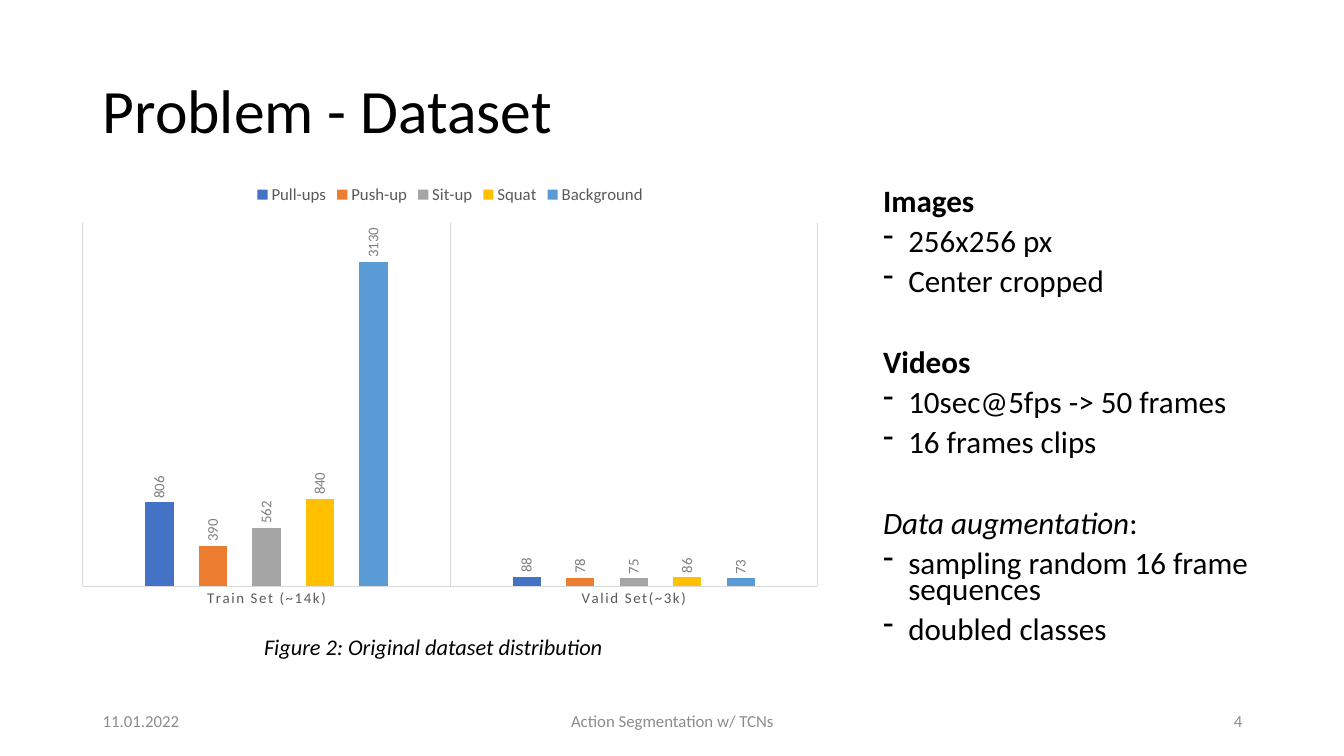
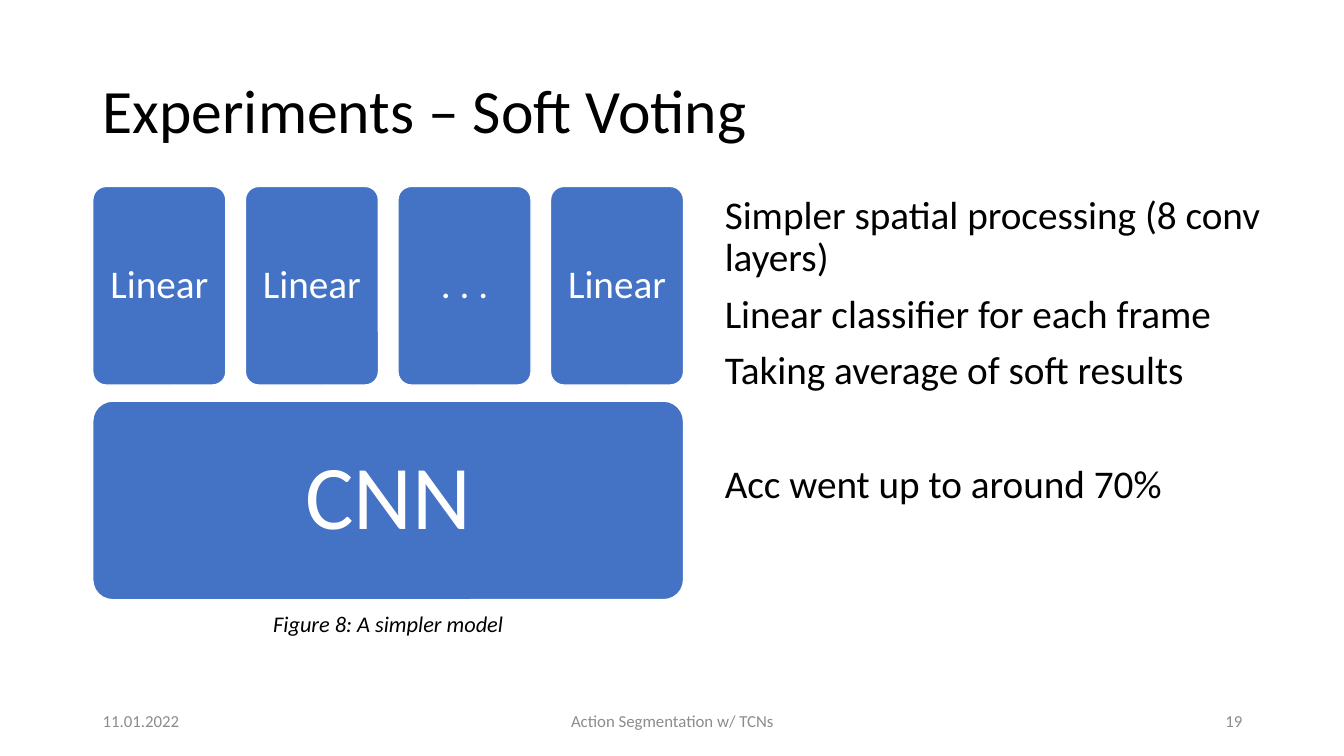
from lxml.etree import SubElement
from pptx import Presentation
from pptx.chart.data import CategoryChartData
from pptx.dml.color import RGBColor
from pptx.enum.chart import XL_CHART_TYPE, XL_LABEL_POSITION, XL_LEGEND_POSITION, XL_TICK_MARK
from pptx.enum.shapes import MSO_SHAPE
from pptx.enum.text import MSO_ANCHOR, PP_ALIGN
from pptx.oxml import parse_xml
from pptx.oxml.ns import nsdecls, qn
from pptx.util import Inches, Pt

FACE = "Calibri"
BLACK, WHITE, BLUE = "000000", "FFFFFF", "4472C4"
MUTED, LABEL, AXIS, RULE = "8C8C8C", "808080", "595959", "D9D9D9"
LEFT, MID, RIGHT = PP_ALIGN.LEFT, PP_ALIGN.CENTER, PP_ALIGN.RIGHT

GROUPS = ["Train Set (~14k)", "Valid Set(~3k)"]
SERIES = [
    ("Pull-ups", BLUE, (806, 88)),
    ("Push-up", "ED7D31", (390, 78)),
    ("Sit-up", "A5A5A5", (562, 75)),
    ("Squat", "FFC000", (840, 86)),
    ("Background", "5B9BD5", (3130, 73)),
]
FACTS = [
    ("Images", dict(bold=True)),
    ("256x256 px", dict(bullet=True)),
    ("Center cropped", dict(bullet=True)),
    ("Videos", dict(bold=True, before=39)),
    ("10sec@5fps -> 50 frames", dict(bullet=True)),
    ("16 frames clips", dict(bullet=True)),
    ("Data augmentation", dict(italic=True, tail=":", before=39)),
    ("sampling random 16 frame sequences", dict(bullet=True)),
    ("doubled classes", dict(bullet=True)),
]
POINTS = [
    ("Simpler spatial processing (8 conv layers)", {}),
    ("Linear classifier for each frame", {}),
    ("Taking average of soft results", {}),
    ("Acc went up to around 70%", dict(before=51)),
]


def tint(code):
    return RGBColor.from_string(code)


def style(font, size, color, bold=False, italic=False):
    font.name, font.size = FACE, Pt(size)
    font.bold, font.italic = bold, italic
    font.color.rgb = tint(color)


def write(frame, text, size=16, color=BLACK, bold=False, italic=False,
          align=LEFT, line=1.0, before=0, bullet=False, tail=""):
    para = frame.paragraphs[-1]
    if para.runs:
        para = frame.add_paragraph()
    para.alignment, para.line_spacing = align, line
    para.space_before = Pt(before)
    run = para.add_run()
    run.text = text
    style(run.font, size, color, bold, italic)
    if tail:
        rest = para.add_run()
        rest.text = tail
        style(rest.font, size, color)
    if bullet:
        props = para._p.get_or_add_pPr()
        props.set("marL", str(Inches(0.25)))
        props.set("indent", str(Inches(-0.25)))
        SubElement(props, qn("a:buChar")).set("char", "-")


def place(box):
    return [Inches(side) for side in box]


def panel(slide, box, anchor=MSO_ANCHOR.TOP):
    frame = slide.shapes.add_textbox(*place(box)).text_frame
    frame.word_wrap = True
    frame.vertical_anchor = anchor
    return frame


def label(slide, box, text, anchor=MSO_ANCHOR.TOP, **form):
    write(panel(slide, box, anchor), text, **form)


def listing(slide, box, rows, **form):
    frame = panel(slide, box)
    for text, extra in rows:
        write(frame, text, **{"before": 10, **form, **extra})


def base(deck, title, page):
    slide = deck.slides.add_slide(deck.slide_layouts[5])
    head = slide.shapes.title
    head.left, head.top, head.width, head.height = place((0.92, 0.4, 11.5, 1.45))
    head.text_frame.vertical_anchor = MSO_ANCHOR.MIDDLE
    write(head.text_frame, title, size=44, line=0.9)
    footer = [
        (0.92, 3, "11.01.2022", LEFT),
        (4.42, 4.5, "Action Segmentation w/ TCNs", MID),
        (9.42, 3, str(page), RIGHT),
    ]
    for left, width, text, align in footer:
        label(slide, (left, 6.95, width, 0.4), text, MSO_ANCHOR.MIDDLE,
              size=12, color=MUTED, align=align)
    return slide


def fix_plot(chart, left, top, width, height):
    area = chart._chartSpace.chart.plotArea
    for old in area.findall(qn("c:layout")):
        area.remove(old)
    sides = zip("xywh", (left, top, width, height))
    parts = "".join(f'<c:{key} val="{val}"/>' for key, val in sides)
    area.insert(0, parse_xml(
        f'<c:layout {nsdecls("c")}><c:manualLayout><c:layoutTarget val="inner"/>'
        f'<c:xMode val="edge"/><c:yMode val="edge"/>{parts}</c:manualLayout></c:layout>'))


def bars(slide, box):
    data = CategoryChartData()
    data.categories = GROUPS
    for name, _, vals in SERIES:
        data.add_series(name, vals)
    chart = slide.shapes.add_chart(XL_CHART_TYPE.COLUMN_CLUSTERED, *place(box), data).chart
    style(chart.font, 10, BLACK)
    chart.has_title = False
    chart.has_legend = True
    chart.legend.position = XL_LEGEND_POSITION.TOP
    chart.legend.include_in_layout = False
    style(chart.legend.font, 12, AXIS)
    fix_plot(chart, 0.02, 0.11, 0.96, 0.8)

    plot = chart.plots[0]
    plot.gap_width, plot.overlap = 444, -90
    plot.vary_by_categories = False
    for (_, color, _), item in zip(SERIES, plot.series):
        item.format.fill.solid()
        item.format.fill.fore_color.rgb = tint(color)
        marks = item.data_labels
        marks.show_value = True
        marks.position = XL_LABEL_POSITION.OUTSIDE_END
        style(marks.font, 10.6, LABEL)
        body = marks._element.find(qn("c:txPr")).find(qn("a:bodyPr"))
        body.set("rot", "-5400000")
        body.set("vert", "horz")

    cats, vals = chart.category_axis, chart.value_axis
    vals.visible = vals.has_major_gridlines = False
    vals.minimum_scale, vals.maximum_scale = 0, 3500
    cats.has_major_gridlines = True
    cats.major_tick_mark = XL_TICK_MARK.NONE
    for line in (cats.format.line, cats.major_gridlines.format.line):
        line.color.rgb = tint(RULE)
        line.width = Pt(0.75)
    font = cats.tick_labels.font
    style(font, 10.6, AXIS)
    font._element.set("spc", "120")


def block(slide, box, text, size):
    shape = slide.shapes.add_shape(MSO_SHAPE.ROUNDED_RECTANGLE, *place(box))
    shape.shadow.inherit = False
    shape.adjustments[0] = 0.1
    shape.fill.solid()
    shape.fill.fore_color.rgb = tint(BLUE)
    shape.line.color.rgb = tint(WHITE)
    shape.line.width = Pt(1)
    frame = shape.text_frame
    frame.word_wrap = True
    frame.vertical_anchor = MSO_ANCHOR.MIDDLE
    write(frame, text, size=size, color=WHITE, align=MID, line=0.9)


def model(slide, box):
    left, top, width, height = box
    names = ["Linear", "Linear", ". . .", "Linear"]
    wide, tall = 1.32, 1.97
    step = (width - wide) / (len(names) - 1)
    for col, name in enumerate(names):
        block(slide, (left + col * step, top, wide, tall), name, 28)
    block(slide, (left, top + height - tall, width, tall), "CNN", 65)


def dataset(deck):
    slide = base(deck, "Problem - Dataset", 4)
    bars(slide, (0.67, 1.72, 7.59, 4.5))
    label(slide, (2.52, 6.23, 3.91, 0.37), "Figure 2: Original dataset distribution",
          italic=True)
    listing(slide, (8.66, 1.85, 3.91, 4.76), FACTS, size=22.2, line=0.7)


def voting(deck):
    slide = base(deck, "Experiments – Soft Voting", 19)
    model(slide, (0.92, 1.85, 5.86, 4.1))
    label(slide, (2.46, 6, 2.78, 0.37), "Figure 8: A simpler model",
          italic=True, align=MID)
    listing(slide, (7.09, 1.89, 6.06, 4.11), POINTS, size=28, line=0.9)


def main():
    deck = Presentation()
    deck.slide_width, deck.slide_height = Inches(13.33), Inches(7.5)
    dataset(deck)
    voting(deck)
    deck.save("out.pptx")


if __name__ == "__main__":
    main()
